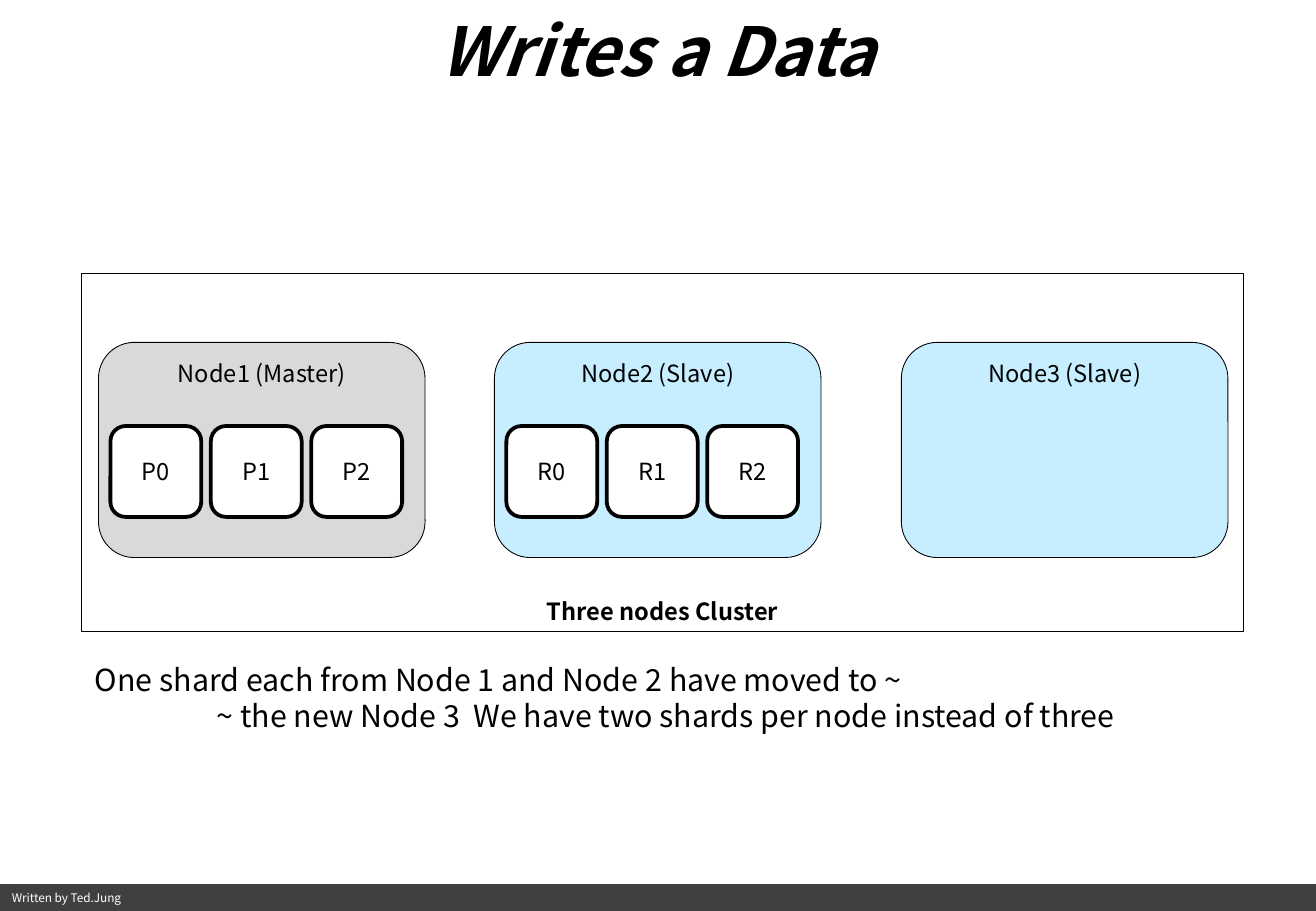
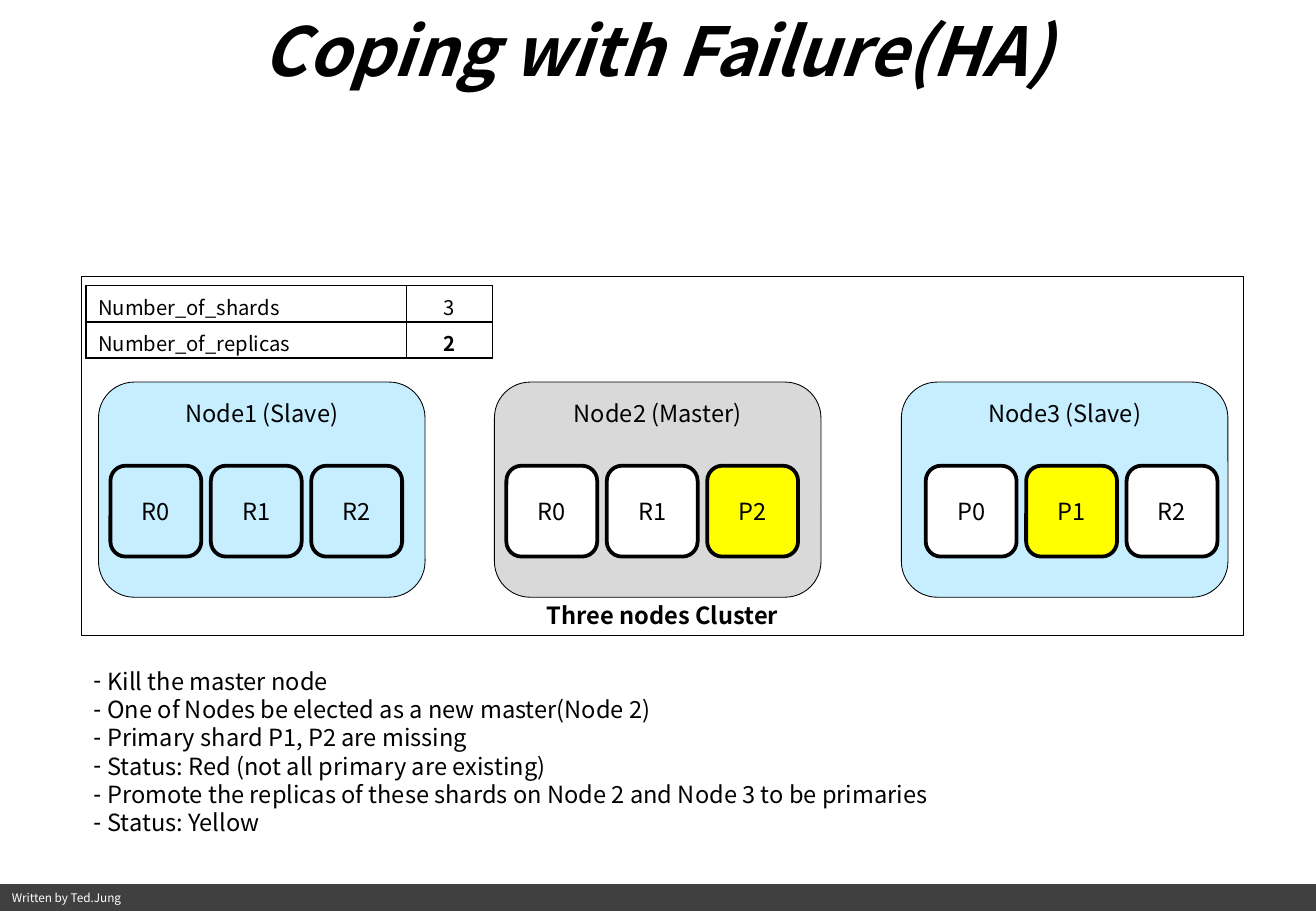
from lxml import etree
from pptx import Presentation
from pptx import util as u
from pptx.dml import color
from pptx.enum import shapes, text
from pptx.oxml import ns

FONT = "Noto Sans CJK KR"
BLACK, WHITE, BAR = "000000", "FFFFFF", "404040"
GREY, BLUE, YELLOW = "D9D9D9", "C6EEFF", "FFFF00"
SLIDE_W, SLIDE_H, BAR_H = 27.52, 19.05, 0.56
CLUSTER_X, CLUSTER_W, CLUSTER_H = 1.7, 24.31, 7.49
NODE_X, NODE_W, NODE_H = (0.36, 8.64, 17.15), 6.83, 4.5
SHARD_Y, SHARD_SIZE, SHARD_PITCH = 1.75, 1.9, 2.1
LEFT, CENTER = text.PP_ALIGN.LEFT, text.PP_ALIGN.CENTER
TOP, MIDDLE, BOTTOM = (text.MSO_ANCHOR.TOP, text.MSO_ANCHOR.MIDDLE,
                       text.MSO_ANCHOR.BOTTOM)
RECT = shapes.MSO_SHAPE.RECTANGLE
ROUND = shapes.MSO_SHAPE.ROUNDED_RECTANGLE


def paint(fmt, hex_color):
    fmt.solid()
    fmt.fore_color.rgb = color.RGBColor.from_string(hex_color)


def write(p, words, size=14, ink=BLACK, bold=False, italic=False, align=LEFT):
    p.alignment = align
    r = p.add_run()
    r.text = words
    f = r.font
    f.name, f.size, f.bold, f.italic = FONT, u.Pt(size), bold, italic
    paint(f.fill, ink)


def place(sp, x, y, w, h):
    sp.left, sp.top, sp.width, sp.height = map(u.Cm, (x, y, w, h))


def add_box(s, kind, x, y, w, h, fill, words, line=None, anchor=MIDDLE,
            align=CENTER, **fmt):
    sp = s.shapes.add_shape(kind, *map(u.Cm, (x, y, w, h)))
    sp.shadow.inherit = False
    paint(sp.fill, fill)
    if line:
        paint(sp.line.fill, BLACK)
        sp.line.width = u.Pt(line)
    else:
        sp.line.fill.background()
    sp.text_frame.vertical_anchor = anchor
    write(sp.text_frame.paragraphs[0], words, align=align, **fmt)
    return sp


def add_footer(s):
    bar = add_box(s, RECT, 0, SLIDE_H - BAR_H, SLIDE_W, BAR_H, BAR,
                  "Written by Ted.Jung", align=LEFT, size=7, ink=WHITE)
    s.slide_layout.shapes.element.append(bar.element)


def add_title(s, words):
    sp = s.shapes.title
    place(sp, 2.34, 0.38, 22.81, 1.3)
    tf = sp.text_frame
    tf.auto_size = text.MSO_AUTO_SIZE.NONE
    tf.vertical_anchor = MIDDLE
    write(tf.paragraphs[0], words, size=40, bold=True, italic=True,
          align=CENTER)


def add_body(s, x, y, w, h, lines, size, bullet=None, indents=()):
    sp = s.placeholders[1]
    place(sp, x, y, w, h)
    tf = sp.text_frame
    tf.auto_size = text.MSO_AUTO_SIZE.NONE
    tf.vertical_anchor = TOP
    hang = 0.29 if bullet else 0
    for i, words in enumerate(lines):
        p = tf.paragraphs[0] if i == 0 else tf.add_paragraph()
        margin = indents[i] if indents else hang
        pPr = p._p.get_or_add_pPr()
        pPr.set("marL", str(u.Cm(margin)))
        pPr.set("indent", str(-u.Cm(hang)))
        mark = etree.SubElement(pPr, ns.qn("a:buChar" if bullet else "a:buNone"))
        if bullet:
            mark.set("char", bullet)
        p.space_before = u.Pt(0)
        write(p, words, size=size)


def add_node(s, x, y, name, fill, shards, inset=0.25):
    add_box(s, ROUND, x, y, NODE_W, NODE_H, fill, name, line=0.5, anchor=TOP)
    for i, (label, shard_fill) in enumerate(shards):
        add_box(s, ROUND, x + inset + i * SHARD_PITCH, y + SHARD_Y,
                SHARD_SIZE, SHARD_SIZE, shard_fill, label, line=2.25)


def add_cluster(s, y, node_y, nodes):
    add_box(s, RECT, CLUSTER_X, y, CLUSTER_W, CLUSTER_H, WHITE,
            "Three nodes Cluster", line=0.5, anchor=BOTTOM, bold=True)
    for x, node in zip(NODE_X, nodes):
        add_node(s, CLUSTER_X + x, y + node_y, *node)


def add_border(cell):
    tcPr = cell._tc.get_or_add_tcPr()
    for side in ("lnL", "lnR", "lnT", "lnB"):
        ln = etree.SubElement(tcPr, ns.qn("a:" + side), w=str(u.Pt(1)))
        solid = etree.SubElement(ln, ns.qn("a:solidFill"))
        etree.SubElement(solid, ns.qn("a:srgbClr"), val=BLACK)


def add_settings(s, x, y, rows):
    widths, row_h = (6.7, 1.8), 0.76
    frame = s.shapes.add_table(len(rows), 2, u.Cm(x), u.Cm(y),
                               u.Cm(sum(widths)), u.Cm(row_h * len(rows)))
    table = frame.table
    table.first_row = table.horz_banding = False
    for col, w in zip(table.columns, widths):
        col.width = u.Cm(w)
    for r, (name, value, bold) in enumerate(rows):
        table.rows[r].height = u.Cm(row_h)
        cells = ((name, LEFT, False), (value, CENTER, bold))
        for c, (words, align, heavy) in enumerate(cells):
            cell = table.cell(r, c)
            add_border(cell)
            cell.fill.background()
            cell.vertical_anchor = MIDDLE
            cell.margin_top, cell.margin_bottom = u.Cm(0.13), u.Cm(0)
            write(cell.text_frame.paragraphs[0], words, size=12, bold=heavy,
                  align=align)


def shard_row(labels, fill=WHITE, promoted=None):
    return [(label, YELLOW if label == promoted else fill)
            for label in labels.split()]


def build_writes(s):
    add_title(s, "Writes a Data")
    add_cluster(s, 5.71, 1.45, [
        ("Node1 (Master)", GREY, shard_row("P0 P1 P2")),
        ("Node2 (Slave)", BLUE, shard_row("R0 R1 R2")),
        ("Node3 (Slave)", BLUE, []),
    ])
    add_body(s, 1.73, 13.69, 24.28, 1.8, [
        "One shard each from Node 1 and Node 2 have moved to ~",
        "~ the new Node 3  We have two shards per node instead of three",
    ], size=18, indents=(0, 2.55))


def build_failure(s):
    add_title(s, "Coping with Failure(HA)")
    add_cluster(s, 5.79, 2.2, [
        ("Node1 (Slave)", BLUE, shard_row("R0 R1 R2", BLUE)),
        ("Node2 (Master)", GREY, shard_row("R0 R1 P2", promoted="P2")),
        ("Node3 (Slave)", BLUE, shard_row("P0 P1 R2", promoted="P1"), 0.51),
    ])
    add_settings(s, 1.8, 5.97, [("Number_of_shards", "3", False),
                                ("Number_of_replicas", "2", True)])
    add_body(s, 1.7, 13.81, 21.36, 3.84, [
        "Kill the master node",
        "One of Nodes be elected as a new master(Node 2)",
        "Primary shard P1, P2 are missing",
        "Status: Red (not all primary are existing)",
        "Promote the replicas of these shards on Node 2 and Node 3 to be primaries",
        "Status: Yellow",
    ], size=14, bullet="-")


def main():
    prs = Presentation()
    prs.slide_width, prs.slide_height = u.Cm(SLIDE_W), u.Cm(SLIDE_H)
    layout = prs.slide_layouts[1]
    writes, failure = (prs.slides.add_slide(layout) for _ in range(2))
    add_footer(writes)
    build_writes(writes)
    build_failure(failure)
    prs.save("out.pptx")


if __name__ == "__main__":
    main()
